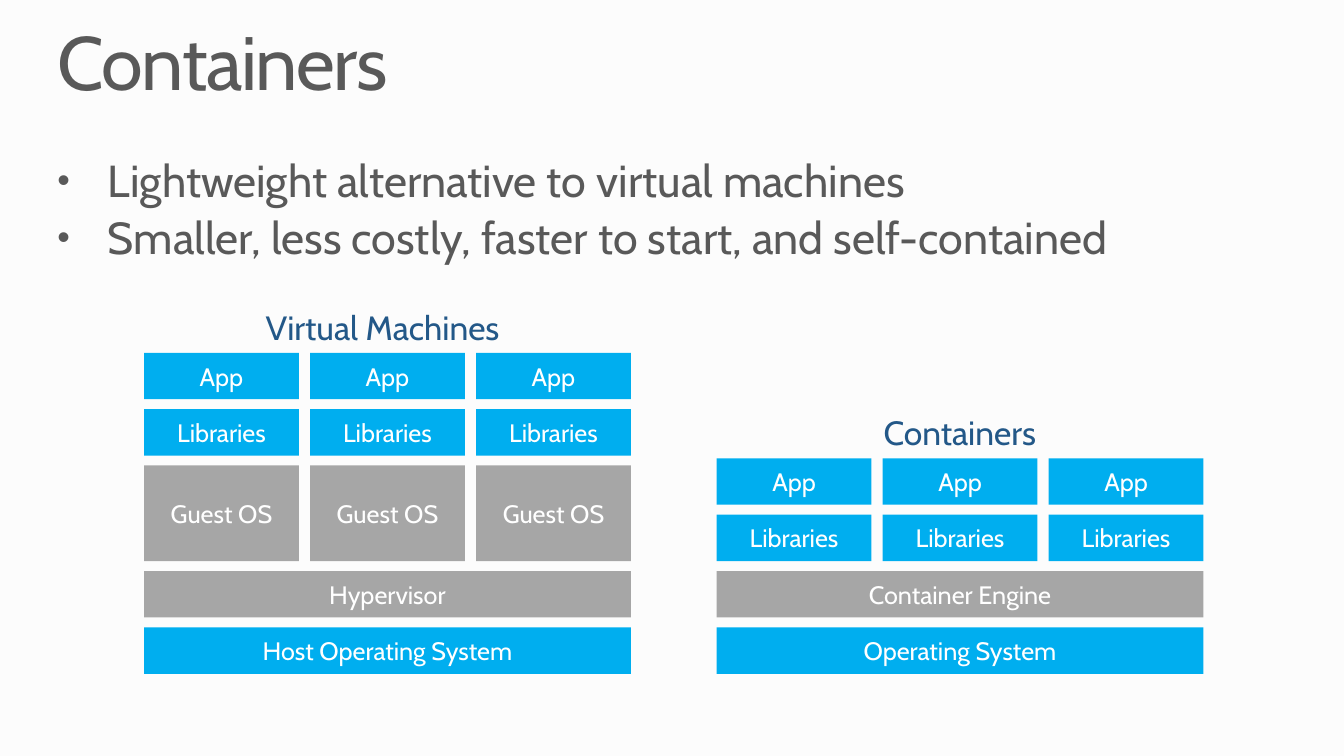
from lxml import etree
from pptx import Presentation
from pptx import util as u
from pptx.dml.color import RGBColor
from pptx.enum import shapes, text
from pptx.oxml import ns

PAPER = RGBColor(0xFC, 0xFC, 0xFC)
INK = RGBColor(0x59, 0x59, 0x59)
NAVY = RGBColor(0x23, 0x58, 0x88)
BLUE = RGBColor(0x00, 0xAE, 0xEF)
GREY = RGBColor(0xA6, 0xA6, 0xA6)
WHITE = RGBColor(0xFF, 0xFF, 0xFF)

# All lengths are in centimetres.
STACK_WIDTH, STACK_BOTTOM = 12.27, 16.98
ROW_HEIGHT, GUEST_HEIGHT = 1.17, 2.41
ROW_GAP, COLUMN_GAP = 0.25, 0.28
CAPTION_WIDTH, CAPTION_HEIGHT, CAPTION_RISE = 12.52, 1.27, 1.29

# Layers run from the bottom up: label, colour, height, number of columns.
SHARED_LAYERS = [("Libraries", BLUE, ROW_HEIGHT, 3), ("App", BLUE, ROW_HEIGHT, 3)]
VM_LAYERS = [
    ("Host Operating System", BLUE, ROW_HEIGHT, 1),
    ("Hypervisor", GREY, ROW_HEIGHT, 1),
    ("Guest OS", GREY, GUEST_HEIGHT, 3),
] + SHARED_LAYERS
CONTAINER_LAYERS = [
    ("Operating System", BLUE, ROW_HEIGHT, 1),
    ("Container Engine", GREY, ROW_HEIGHT, 1),
] + SHARED_LAYERS


class Deck:
    font = "Cabin"

    def __init__(self, prs):
        self.s = prs.slides.add_slide(prs.slide_layouts[6])
        self.s.background.fill.solid()
        self.s.background.fill.fore_color.rgb = PAPER

    def add_words(self, p, words, size, color, **formats):
        for name, value in formats.items():
            setattr(p, name, value)
        r = p.add_run()
        r.text = words
        for name, value in {"name": self.font, "size": u.Pt(size)}.items():
            setattr(r.font, name, value)
        r.font.color.rgb = color
        return r

    def frame(self, left, top, width, height, **formats):
        box = [u.Cm(v) for v in (left, top, width, height)]
        tf = self.s.shapes.add_textbox(*box).text_frame
        tf.word_wrap = True
        for name, value in formats.items():
            setattr(tf, name, value)
        return tf

    def flush_frame(self, *box):
        """Add a text frame without inner margins."""
        sides = ("left", "top", "right", "bottom")
        return self.frame(*box, **{f"margin_{side}": 0 for side in sides})

    def title(self, words):
        tf = self.flush_frame(1.45, 0.64, 30.99, 2.08)
        r = self.add_words(tf.paragraphs[0], words, 54, INK, line_spacing=0.9)
        r.font._element.set("spc", "-100")

    def bullets(self, lines):
        tf = self.flush_frame(1.45, 4.01, 30.99, 2.74)
        for i, line in enumerate(lines):
            p = tf.add_paragraph() if i else tf.paragraphs[0]
            self.add_words(p, line, 32, INK, line_spacing=0.9, space_before=u.Pt(6))
            pPr = p._p.get_or_add_pPr()
            indent = u.Cm(1.27)
            pPr.set("marL", str(indent))
            pPr.set("indent", str(-indent))
            for tag, key, value in (("a:buSzPct", "val", "80000"),
                                    ("a:buFont", "typeface", "Arial"),
                                    ("a:buChar", "char", "•")):
                etree.SubElement(pPr, ns.qn(tag)).set(key, value)

    def caption(self, words, left, top):
        tf = self.frame(left, top, CAPTION_WIDTH, CAPTION_HEIGHT)
        self.add_words(tf.paragraphs[0], words, 24, NAVY, alignment=text.PP_ALIGN.CENTER)

    def block(self, words, fill, *box):
        sp = self.s.shapes.add_shape(shapes.MSO_SHAPE.RECTANGLE, *[u.Cm(v) for v in box])
        sp.shadow.inherit = False
        sp.fill.solid()
        sp.fill.fore_color.rgb = fill
        sp.line.fill.background()
        tf = sp.text_frame
        tf.vertical_anchor = text.MSO_ANCHOR.MIDDLE
        self.add_words(tf.paragraphs[0], words, 18, WHITE, alignment=text.PP_ALIGN.CENTER)

    def stack(self, left, layers):
        """Pile up the layers from the bottom and return the top edge."""
        top = STACK_BOTTOM + ROW_GAP
        for label, fill, height, columns in layers:
            top -= height + ROW_GAP
            width = (STACK_WIDTH - (columns - 1) * COLUMN_GAP) / columns
            for column in range(columns):
                x = left + column * (width + COLUMN_GAP)
                self.block(label, fill, x, top, width, height)
        return top


def main():
    prs = Presentation()
    prs.slide_width, prs.slide_height = u.Cm(33.87), u.Cm(19.05)
    deck = Deck(prs)
    deck.title("Containers")
    deck.bullets(["Lightweight alternative to virtual machines",
                  "Smaller, less costly, faster to start, and self-contained"])
    for name, caption_left, left, layers in (
            ("Virtual Machines", 3.38, 3.63, VM_LAYERS),
            ("Containers", 17.93, 18.06, CONTAINER_LAYERS)):
        top = deck.stack(left, layers)
        deck.caption(name, caption_left, top - CAPTION_RISE)
    prs.save("out.pptx")


if __name__ == "__main__":
    main()
